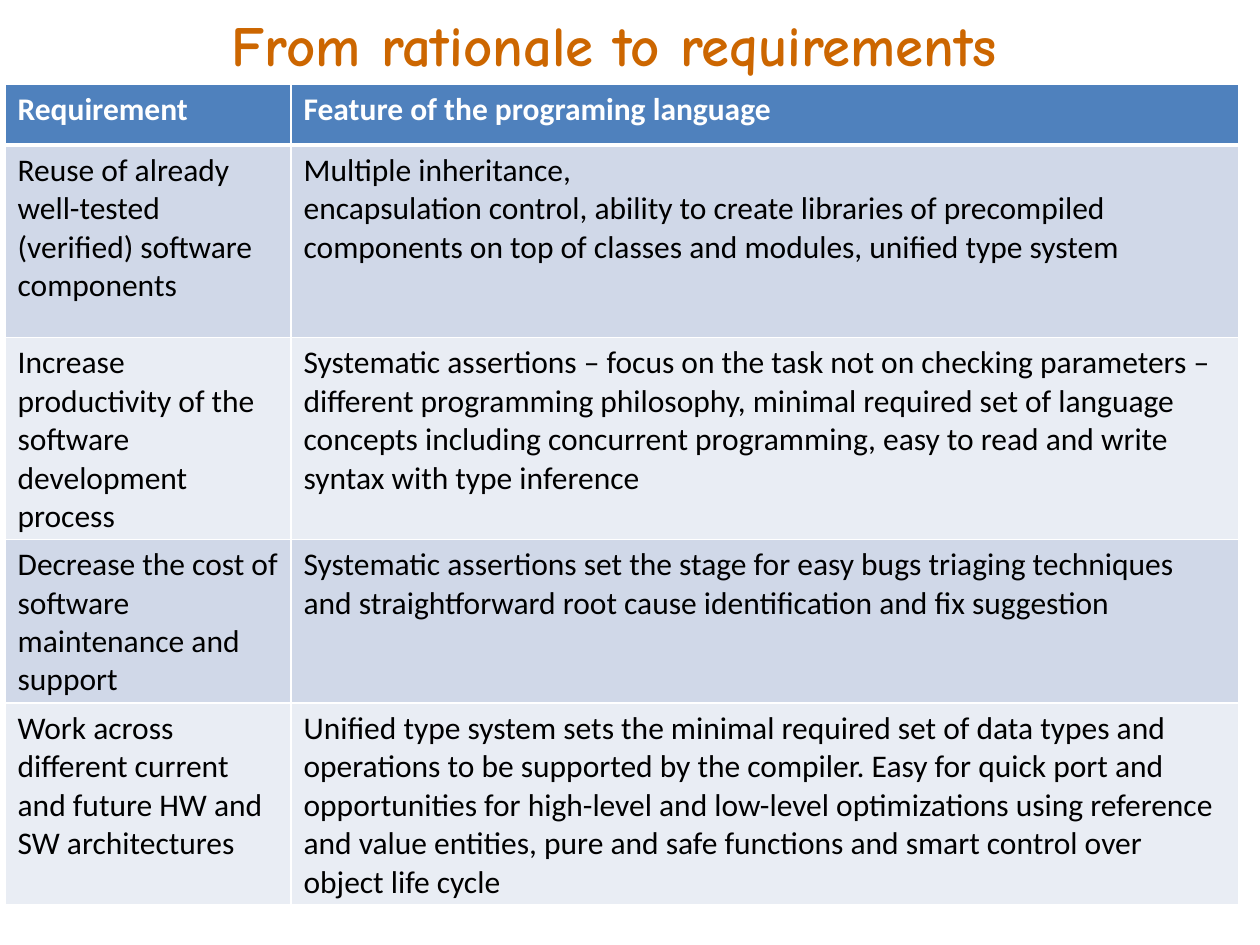
import pptx
import pptx.dml.color
import pptx.enum.text
import pptx.oxml
import pptx.oxml.ns
import pptx.util
from pptx.util import Inches

RGBColor = pptx.dml.color.RGBColor
ORANGE = RGBColor(0xCC, 0x66, 0x00)
BLUE = RGBColor(0x4F, 0x81, 0xBD)
BAND_DARK = RGBColor(0xD0, 0xD8, 0xE8)
BAND_LIGHT = RGBColor(0xE9, 0xED, 0xF4)
WHITE = RGBColor(0xFF, 0xFF, 0xFF)
BLACK = RGBColor(0x00, 0x00, 0x00)

COLUMN_WIDTHS = (2.27, 7.52)
ROW_HEIGHTS = (0.48, 1.53, 1.6, 1.3, 1.6)
REQUIREMENTS = (
    ("Requirement", "Feature of the programing language"),
    ("Reuse of already well-tested (verified) software components",
     "Multiple inheritance,\n"
     "encapsulation control, ability to create libraries of precompiled "
     "components on top of classes and modules, unified type system"),
    ("Increase productivity of the software development process",
     "Systematic assertions – focus on the task not on checking parameters – "
     "different programming philosophy, minimal required set of language "
     "concepts including concurrent programming, easy to read and write "
     "syntax with type inference"),
    ("Decrease the cost of software maintenance and support",
     "Systematic assertions set the stage for easy bugs triaging techniques "
     "and straightforward root cause identification and fix suggestion"),
    ("Work across different current and future HW and SW architectures",
     "Unified type system sets the minimal required set of data types and "
     "operations to be supported by the compiler. Easy for quick port and "
     "opportunities for high-level and low-level optimizations using reference "
     "and value entities, pure and safe functions and smart control over "
     "object life cycle"),
)


class SlideBuilder:
    title_font = "Comic Neue"
    body_font = "Calibri"
    title_size = 32.4
    body_size = 18

    def __init__(self, slide):
        self.slide = slide

    def format_text(self, frame, font, size, color, bold):
        for para in frame.paragraphs:
            for span in para.runs:
                span.font.name = font
                span.font.size = pptx.util.Pt(size)
                span.font.color.rgb = color
                span.font.bold = bold

    def title(self, text, left, top, width, height):
        box = self.slide.shapes.add_textbox(
            Inches(left), Inches(top), Inches(width), Inches(height))
        frame = box.text_frame
        frame.word_wrap = True
        frame.vertical_anchor = pptx.enum.text.MSO_ANCHOR.MIDDLE
        frame.text = text
        frame.paragraphs[0].alignment = pptx.enum.text.PP_ALIGN.CENTER
        self.format_text(frame, self.title_font, self.title_size, ORANGE, True)

    def cell_borders(self, cell, bottom_width):
        properties = cell._tc.get_or_add_tcPr()
        for side, width in (("L", 1), ("R", 1), ("T", 1), ("B", bottom_width)):
            properties.append(pptx.oxml.parse_xml(
                f'<a:ln{side} {pptx.oxml.ns.nsdecls("a")} w="{pptx.util.Pt(width)}">'
                f'<a:solidFill><a:srgbClr val="{WHITE}"/></a:solidFill></a:ln{side}>'))

    def table(self, rows, left, top, widths, heights):
        table = self.slide.shapes.add_table(
            len(rows), len(widths), Inches(left), Inches(top),
            Inches(sum(widths)), Inches(sum(heights))).table
        for column, width in zip(table.columns, widths):
            column.width = Inches(width)
        for index, (row, texts) in enumerate(zip(table.rows, rows)):
            row.height = Inches(heights[index])
            header = index == 0
            fill = BLUE if header else (BAND_LIGHT, BAND_DARK)[index % 2]
            for cell, text in zip(row.cells, texts):
                cell.text_frame.text = text
                self.format_text(cell.text_frame, self.body_font, self.body_size,
                                 WHITE if header else BLACK, header)
                self.cell_borders(cell, 3 if header else 1)
                cell.fill.solid()
                cell.fill.fore_color.rgb = fill


def main():
    deck = pptx.Presentation()
    deck.slide_width = Inches(10)
    deck.slide_height = Inches(7.5)
    page = SlideBuilder(deck.slides.add_slide(deck.slide_layouts[6]))
    page.title("From rationale to requirements", 1.17, 0, 7.41, 0.7)
    page.table(REQUIREMENTS, 0.04, 0.67, COLUMN_WIDTHS, ROW_HEIGHTS)
    deck.save("out.pptx")


if __name__ == "__main__":
    main()
